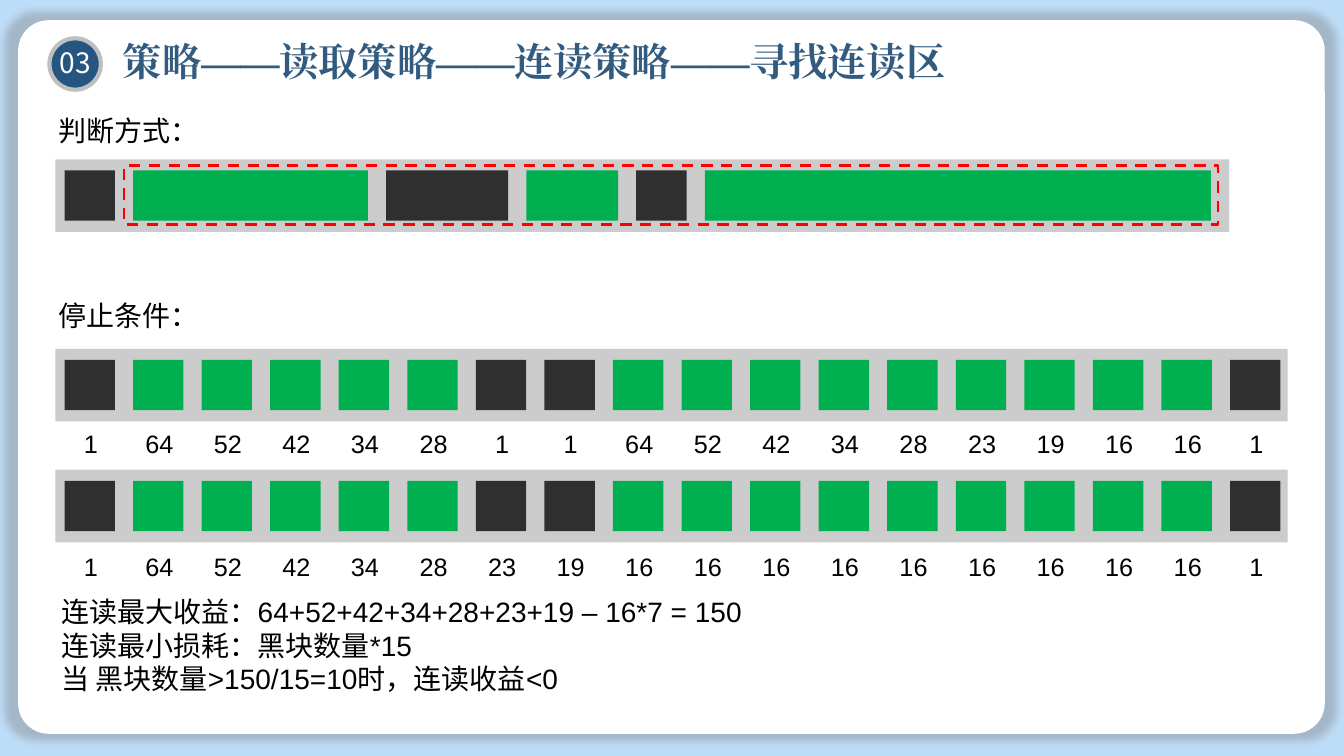
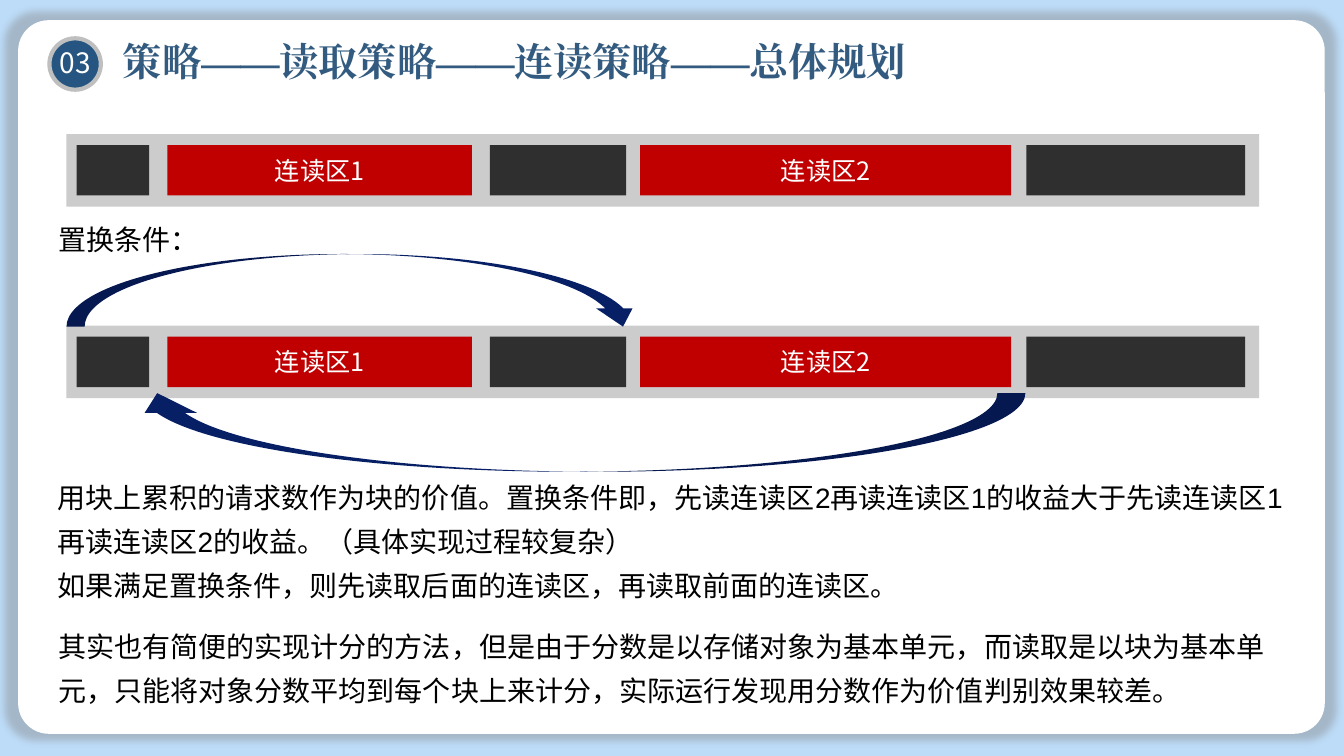
import itertools
from dataclasses import dataclass

import pptx
import pptx.dml.color
import pptx.enum.dml
import pptx.enum.lang
import pptx.enum.shapes
import pptx.enum.text
import pptx.oxml
import pptx.oxml.ns
import pptx.util

Inches = pptx.util.Inches
Pt = pptx.util.Pt
SHAPE = pptx.enum.shapes.MSO_SHAPE
ALIGN = pptx.enum.text.PP_ALIGN


@dataclass(frozen=True)
class Theme:
    sky: str = "BDDCF8"
    white: str = "FFFFFF"
    black: str = "000000"
    title: str = "325B7F"
    badge: str = "255580"
    badge_ring: str = "BFBFBF"
    lane: str = "CCCCCC"
    idle: str = "2F2F2F"
    wanted: str = "00B050"
    zone: str = "C00000"
    frame: str = "FF0000"
    arrow: str = "071F65"
    title_size: int = 28
    body_size: int = 20
    block_size: int = 18
    title_font: str = "Times New Roman"
    body_font: str = "Arial"
    cjk_font: str = "Noto Sans CJK SC"


THEME = Theme()

SECTION = "03"
TITLE_STEM = "策略——读取策略——连读策略——"

LANE_HEIGHT = 0.72
BLOCK_HEIGHT = 0.5
BLOCK_INSET = 0.11
BLOCK_GAP = 0.18
FIRST_BLOCK = 0.64

MERGED_BLOCKS = [
    (0.5, THEME.idle), (2.33, THEME.wanted), (1.21, THEME.idle),
    (0.91, THEME.wanted), (0.5, THEME.idle), (5.02, THEME.wanted),
]
UNIT_BLOCKS = [
    (BLOCK_HEIGHT, THEME.idle if index in (0, 6, 7, 17) else THEME.wanted)
    for index in range(18)
]
COST_LANES = [
    (3.46, 4.2, [1, 64, 52, 42, 34, 28, 1, 1, 64, 52, 42, 34, 28, 23, 19, 16, 16, 1]),
    (4.66, 5.42, [1, 64, 52, 42, 34, 28, 23, 19] + [16] * 9 + [1]),
]
GAIN_LINES = [
    "连读最大收益：64+52+42+34+28+23+19 – 16*7 = 150",
    "连读最小损耗：黑块数量*15",
    "当 黑块数量>150/15=10时，连读收益<0",
]

ZONE_BLOCKS = [
    (0.76, 0.72, THEME.idle, ""),
    (1.66, 3.02, THEME.zone, "连读区1"),
    (4.86, 1.35, THEME.idle, ""),
    (6.35, 3.68, THEME.zone, "连读区2"),
    (10.18, 2.17, THEME.idle, ""),
]
SWAP_ARROWS = [
    ((0.66, 2.52, 5.7, 0.72), (0.25, 0.5, 0.25), 0),
    ((1.3, 3.9, 8.87, 0.78), (0.357, 0.664, 0.25), 180),
]
SWAP_LINES = [
    "用块上累积的请求数作为块的价值。置换条件即，先读连读区2再读连读区1的收益大于先读连读区1再读连读区2的收益。（具体实现过程较复杂）",
    "如果满足置换条件，则先读取后面的连读区，再读取前面的连读区。",
]
SCORE_LINES = [
    "其实也有简便的实现计分的方法，但是由于分数是以存储对象为基本单元，而读取是以块为基本单元，只能将对象分数平均到每个块上来计分，实际运行发现用分数作为价值判别效果较差。",
]


def rgb(value):
    return pptx.dml.color.RGBColor.from_string(value)


def write(frame, lines, size, color, font, cjk=THEME.cjk_font, bold=False,
          align=ALIGN.LEFT, spacing=None):
    frame.word_wrap = True
    frame.text = "\n".join(lines)
    for paragraph in frame.paragraphs:
        paragraph.alignment = align
        if spacing:
            paragraph.line_spacing = spacing
        for run in paragraph.runs:
            run.font.size = Pt(size)
            run.font.bold = bold
            run.font.name = font
            run.font.color.rgb = rgb(color)
            run.font.language_id = pptx.enum.lang.MSO_LANGUAGE_ID.SIMPLIFIED_CHINESE
            east_asian = pptx.oxml.parse_xml(
                f'<a:ea {pptx.oxml.ns.nsdecls("a")} typeface="{cjk}"/>')
            run.font._element.find(pptx.oxml.ns.qn("a:latin")).addnext(east_asian)


def add_text(slide, box, lines, size=THEME.body_size, color=THEME.black,
             font=THEME.body_font, **style):
    frame = slide.shapes.add_textbox(*map(Inches, box)).text_frame
    write(frame, lines, size, color, font, **style)
    frame.auto_size = pptx.enum.text.MSO_AUTO_SIZE.SHAPE_TO_FIT_TEXT
    return frame


def add_figure(slide, kind, box, fill=None, line=None, line_width=0):
    figure = slide.shapes.add_shape(kind, *map(Inches, box))
    figure.shadow.inherit = False
    if fill:
        figure.fill.solid()
        figure.fill.fore_color.rgb = rgb(fill)
    else:
        figure.fill.background()
    if line:
        figure.line.color.rgb = rgb(line)
        figure.line.width = Pt(line_width)
    else:
        figure.line.fill.background()
    return figure


def add_block(slide, left, lane_top, width, color, label=""):
    block = add_figure(slide, SHAPE.RECTANGLE,
                       (left, lane_top + BLOCK_INSET, width, BLOCK_HEIGHT), color)
    if label:
        write(block.text_frame, [label], THEME.block_size, THEME.white,
              THEME.cjk_font, align=ALIGN.CENTER)
        block.text_frame.vertical_anchor = pptx.enum.text.MSO_ANCHOR.MIDDLE


def add_lane(slide, left, top, width):
    add_figure(slide, SHAPE.RECTANGLE, (left, top, width, LANE_HEIGHT), THEME.lane)


def add_spaced_lane(slide, top, width, blocks):
    add_lane(slide, 0.55, top, width)
    steps = (block_width + BLOCK_GAP for block_width, _ in blocks[:-1])
    lefts = list(itertools.accumulate(steps, initial=FIRST_BLOCK))
    for left, (block_width, color) in zip(lefts, blocks):
        add_block(slide, left, top, block_width, color)
    return lefts


def set_backdrop(layout, slide):
    layout.background.fill.solid()
    layout.background.fill.fore_color.rgb = rgb(THEME.sky)
    panel = add_figure(slide, SHAPE.ROUNDED_RECTANGLE, (0.18, 0.2, 12.96, 7.08), THEME.white)
    panel.adjustments[0] = 0.043
    effects = panel._element.spPr.find(pptx.oxml.ns.qn("a:effectLst"))
    effects.append(pptx.oxml.parse_xml(
        f'<a:outerShdw {pptx.oxml.ns.nsdecls("a")} blurRad="{Pt(5)}" dist="0" dir="0" '
        'sx="102000" sy="102000" algn="ctr" rotWithShape="0">'
        '<a:srgbClr val="808080"><a:alpha val="40000"/></a:srgbClr></a:outerShdw>'))
    layout.shapes._spTree.append(panel._element)


def add_header(slide, topic):
    heading = add_text(slide, (1.09, 0.3, 8.9, 0.6), [TITLE_STEM + topic],
                       THEME.title_size, THEME.title, THEME.title_font,
                       cjk=THEME.title_font, bold=True)
    heading.margin_left = heading.margin_right = Inches(0.13)
    heading.margin_top = heading.margin_bottom = Inches(0.07)
    add_figure(slide, SHAPE.OVAL, (0.49, 0.38, 0.51, 0.51),
               THEME.badge, THEME.badge_ring, 3)
    add_text(slide, (0.48, 0.4, 0.53, 0.43), [SECTION], THEME.body_size,
             THEME.white, THEME.cjk_font, align=ALIGN.CENTER)


def build_search_slide(slide):
    add_header(slide, "寻找连读区")
    add_text(slide, (0.48, 1.08, 12.14, 0.43), ["判断方式："])
    add_spaced_lane(slide, 1.58, 11.64, MERGED_BLOCKS)
    read_range = add_figure(slide, SHAPE.RECTANGLE, (1.23, 1.64, 10.85, 0.59),
                            line=THEME.frame, line_width=2)
    read_range.line.dash_style = pptx.enum.dml.MSO_LINE.DASH

    add_text(slide, (0.48, 2.91, 12.14, 0.43), ["停止条件："])
    for lane_top, cost_top, costs in COST_LANES:
        lefts = add_spaced_lane(slide, lane_top, 12.22, UNIT_BLOCKS)
        for left, cost in zip(lefts, costs):
            add_text(slide, (left, cost_top, 0.52, 0.4), [str(cost)],
                     THEME.block_size, align=ALIGN.CENTER)
    add_text(slide, (0.51, 5.85, 12.14, 1.1), GAIN_LINES)


def build_plan_slide(slide):
    add_header(slide, "总体规划")
    for lane_top in (1.33, 3.23):
        add_lane(slide, 0.66, lane_top, 11.83)
        for left, width, color, label in ZONE_BLOCKS:
            add_block(slide, left, lane_top, width, color, label)
    add_text(slide, (0.48, 2.16, 12.14, 0.43), ["置换条件："])
    for box, bends, turn in SWAP_ARROWS:
        arrow = add_figure(slide, SHAPE.CURVED_DOWN_ARROW, box, THEME.arrow)
        for index, bend in enumerate(bends):
            arrow.adjustments[index] = bend
        arrow.rotation = turn
    add_text(slide, (0.47, 4.62, 12.38, 1.4), SWAP_LINES, spacing=1.3)
    add_text(slide, (0.48, 6.1, 12.38, 0.96), SCORE_LINES, spacing=1.3)


def main():
    deck = pptx.Presentation()
    deck.slide_width = Inches(13.33)
    deck.slide_height = Inches(7.5)
    blank = deck.slide_layouts[6]
    search, plan = (deck.slides.add_slide(blank) for _ in range(2))
    set_backdrop(blank, search)
    build_search_slide(search)
    build_plan_slide(plan)
    deck.save("out.pptx")


if __name__ == "__main__":
    main()
